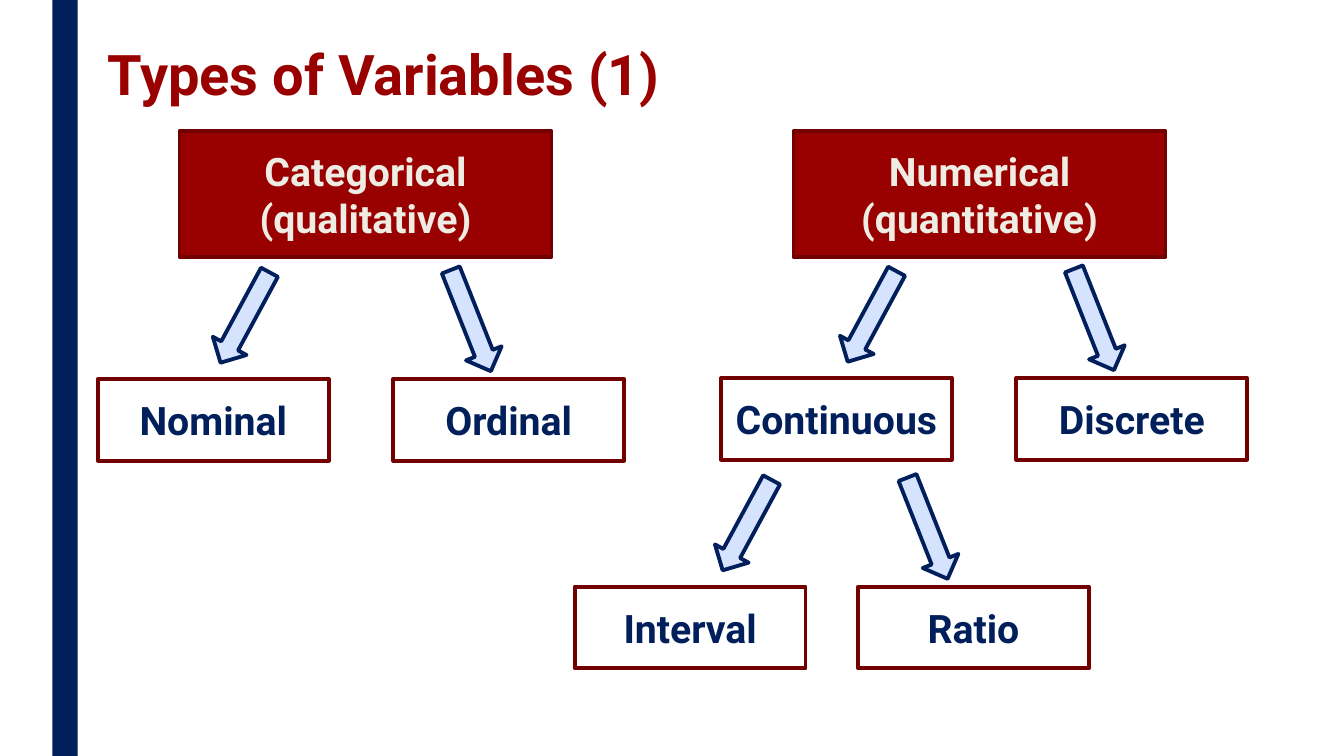
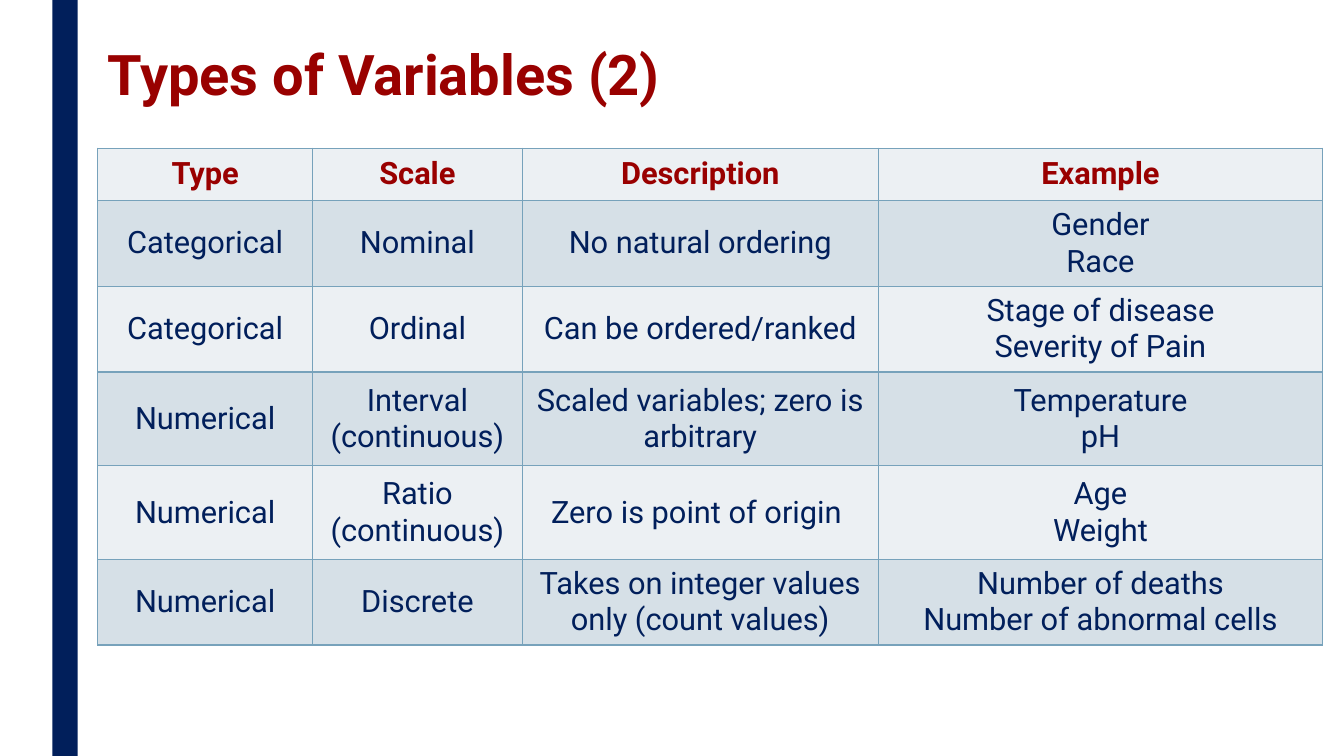
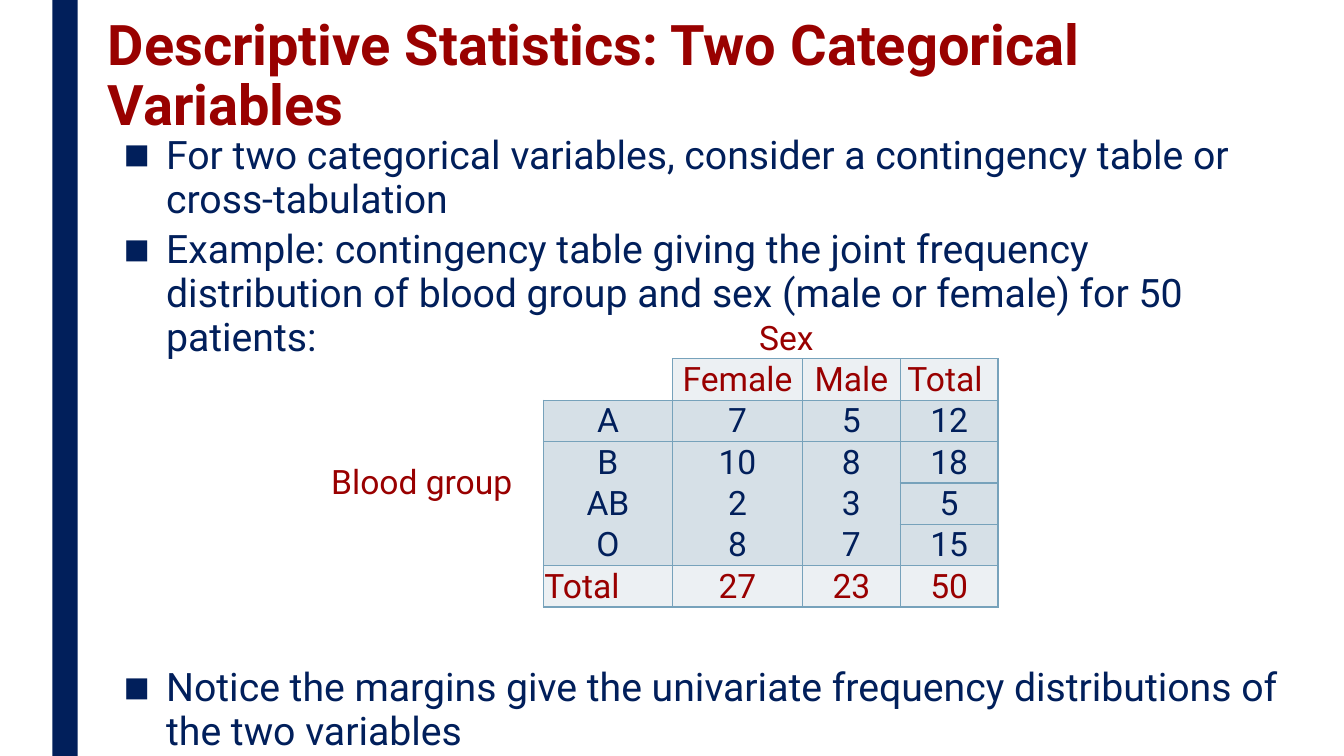
import lxml.etree
import pptx
import pptx.dml.color
import pptx.enum.shapes
import pptx.enum.text
import pptx.oxml
import pptx.oxml.ns
import pptx.util

COLORS = {
    "navy": "011F5B", "title": "990100", "red": "990000", "maroon": "710000",
    "cream": "EFEDE3", "sky": "D6E3FF", "grid": "77A2BB",
    "light": "ECF0F3", "shade": "D6E0E7",
}
FONT = "Roboto"
NO_GRID_STYLE = "{2D5ABB26-0587-4C30-8999-92F81FD0307C}"
ALIGN = {"left": pptx.enum.text.PP_ALIGN.LEFT, "center": pptx.enum.text.PP_ALIGN.CENTER}
ANCHOR = {"top": pptx.enum.text.MSO_ANCHOR.TOP, "middle": pptx.enum.text.MSO_ANCHOR.MIDDLE}
RECT = pptx.enum.shapes.MSO_SHAPE.RECTANGLE
ARROW = pptx.enum.shapes.MSO_SHAPE.DOWN_ARROW

ROOT_SIZE = (3.69, 1.25)
LEAF_SIZE = (2.29, 0.81)
ARROW_RISE = 1.12
ROOTS = [("Categorical\n(qualitative)", 1.78), ("Numerical\n(quantitative)", 7.87)]
BRANCHES = [
    {"top": 3.76, "leaves": [("Nominal", 0.97), ("Ordinal", 3.9)], "arrows": (2.24, 4.48)},
    {"top": 3.75, "leaves": [("Continuous", 7.15), ("Discrete", 10.08)], "arrows": (8.46, 10.66)},
    {"top": 5.82, "leaves": [("Interval", 5.7), ("Ratio", 8.51)], "arrows": (7.22, 9.01)},
]
ARROW_FORMS = [(1.02, 28.4), (1.08, 338.4)]

SCALES = [
    ("Type", "Scale", "Description", "Example"),
    ("Categorical", "Nominal", "No natural ordering", "Gender\nRace"),
    ("Categorical", "Ordinal", "Can be ordered/ranked", "Stage of disease\nSeverity of Pain"),
    ("Numerical", "Interval\n(continuous)", "Scaled variables; zero is arbitrary", "Temperature\npH"),
    ("Numerical", "Ratio\n(continuous)", "Zero is point of origin ", "Age\nWeight"),
    ("Numerical", "Discrete", "Takes on integer values only (count values)",
     "Number of deaths\nNumber of abnormal cells"),
]
SCALE_COLUMNS = [2.13, 2.08, 3.53, 4.41]
SCALE_ROWS = [0.52, 0.85, 0.85, 0.93, 0.93, 0.85]

FINDINGS = [
    (1.28, 2.3, "For two categorical variables, consider a contingency table or cross-tabulation\n"
     "Example: contingency table giving the joint frequency distribution of blood group "
     "and sex (male or female) for 50 patients:"),
    (6.56, 0.94, "Notice the margins give the univariate frequency distributions of the two variables"),
]
BLOOD_GROUPS = [
    ("", "", "Sex", "", ""),
    ("", "", "Female", "Male", "Total "),
    ("Blood group ", "A", "7", "5", "12"),
    ("", "B", "10", "8", "18"),
    ("", "AB", "2", "3", "5"),
    ("", "O", "8", "7", "15"),
    ("", "Total", "27", "23", "50"),
]
BLOOD_COLUMNS = [2.33, 1.28, 1.29, 0.97, 0.97]
BLOOD_ROWS = [0.4] * len(BLOOD_GROUPS)


def inches(*lengths):
    return [pptx.util.Inches(length) for length in lengths]


def rgb(name):
    return pptx.dml.color.RGBColor.from_string(COLORS[name])


def write(frame, text, size=28, color="navy", bold=False, align="left",
          spacing=None, gap=None, bullet=None):
    for index, line in enumerate(text.split("\n")):
        paragraph = frame.add_paragraph() if index else frame.paragraphs[0]
        paragraph.alignment = ALIGN[align]
        if spacing:
            paragraph.line_spacing = spacing
        if gap:
            paragraph.space_before = paragraph.space_after = pptx.util.Pt(gap)
        if bullet:
            properties = paragraph._p.get_or_add_pPr()
            indent = pptx.util.Inches(0.42)
            properties.set("marL", str(indent))
            properties.set("indent", str(-indent))
            for tag, key, value in (("a:buSzPct", "val", "70000"), ("a:buFont", "typeface", FONT),
                                    ("a:buChar", "char", bullet)):
                lxml.etree.SubElement(properties, pptx.oxml.ns.qn(tag)).set(key, value)
        run = paragraph.add_run()
        run.text = line
        run.font.name = FONT
        run.font.size = pptx.util.Pt(size)
        run.font.bold = bold
        run.font.color.rgb = rgb(color)


def add_text(slide, box, text, anchor="top", **style):
    frame = slide.shapes.add_textbox(*inches(*box)).text_frame
    frame.word_wrap = True
    frame.vertical_anchor = ANCHOR[anchor]
    write(frame, text, **style)


def add_block(slide, kind, box, fill=None, line=None, text="", color="navy", rotation=0):
    block = slide.shapes.add_shape(kind, *inches(*box))
    block.shadow.inherit = False
    block.rotation = rotation
    if fill:
        block.fill.solid()
        block.fill.fore_color.rgb = rgb(fill)
    else:
        block.fill.background()
    if line:
        block.line.color.rgb = rgb(line)
        block.line.width = pptx.util.Pt(2.75)
    else:
        block.line.fill.background()
    if text:
        block.text_frame.word_wrap = True
        block.text_frame.vertical_anchor = ANCHOR["middle"]
        write(block.text_frame, text, color=color, bold=True, align="center")


def add_grid(slide, left, top, columns, rows):
    box = inches(left, top, sum(columns), sum(rows))
    frame = slide.shapes.add_table(len(rows), len(columns), *box)
    grid = frame.table
    grid.first_row = grid.horz_banding = False
    grid._tbl.tblPr.find(pptx.oxml.ns.qn("a:tableStyleId")).text = NO_GRID_STYLE
    for column, width in zip(grid.columns, inches(*columns)):
        column.width = width
    for row, height in zip(grid.rows, inches(*rows)):
        row.height = height
    return grid


def dress_cell(cell, text, fill=None, sides="", margin=None, **style):
    properties = cell._tc.get_or_add_tcPr()
    for side in sides:
        properties.append(pptx.oxml.parse_xml(
            f'<a:ln{side} {pptx.oxml.ns.nsdecls("a")} w="12700"><a:solidFill>'
            f'<a:srgbClr val="{COLORS["grid"]}"/></a:solidFill></a:ln{side}>'))
    if fill:
        cell.fill.solid()
        cell.fill.fore_color.rgb = rgb(fill)
    else:
        cell.fill.background()
    if margin is not None:
        cell.margin_left = cell.margin_right = cell.margin_top = pptx.util.Inches(margin)
        cell.margin_bottom = 0
    cell.vertical_anchor = ANCHOR["middle"]
    if text:
        write(cell.text_frame, text, **style)
    else:
        cell.text_frame.paragraphs[0].font.size = pptx.util.Pt(18)


def start_slide(deck, title):
    slide = deck.slides.add_slide(deck.slide_layouts[6])
    add_block(slide, RECT, (0.52, 0, 0.25, 7.5), fill="navy")
    add_text(slide, (0.97, 0.26, 11.97, 1.02), title, anchor="middle",
             size=40, color="title", bold=True, spacing=0.89)
    return slide


def build_tree(deck):
    slide = start_slide(deck, "Types of Variables (1)")
    for name, left in ROOTS:
        add_block(slide, RECT, (left, 1.3, *ROOT_SIZE), fill="red", line="maroon",
                  text=name, color="cream")
    for branch in BRANCHES:
        top = branch["top"]
        for name, left in branch["leaves"]:
            add_block(slide, RECT, (left, top, *LEAF_SIZE), line="maroon", text=name)
        for left, (length, angle) in zip(branch["arrows"], ARROW_FORMS):
            add_block(slide, ARROW, (left, top - ARROW_RISE, 0.38, length),
                      fill="sky", line="navy", rotation=angle)


def build_scales(deck):
    slide = start_slide(deck, "Types of Variables (2)")
    grid = add_grid(slide, 0.97, 1.47, SCALE_COLUMNS, SCALE_ROWS)
    for r, row in enumerate(SCALES):
        for c, text in enumerate(row):
            dress_cell(grid.cell(r, c), text, fill="shade" if r % 2 else "light", sides="LRTB",
                       size=22, color="navy" if r else "red", bold=r == 0, align="center")


def build_contingency(deck):
    slide = start_slide(deck, "Descriptive Statistics: Two Categorical Variables")
    for top, height, text in FINDINGS:
        add_text(slide, (1.13, top, 11.66, height), text, spacing=0.94, gap=2, bullet="■")
    grid = add_grid(slide, 3.06, 3.15, BLOOD_COLUMNS, BLOOD_ROWS)
    grid.cell(0, 2).merge(grid.cell(0, 3))
    grid.cell(2, 0).merge(grid.cell(5, 0))
    last = len(BLOOD_GROUPS) - 1
    for r, row in enumerate(BLOOD_GROUPS):
        for c, text in enumerate(row):
            counted = 2 <= r < last and c > 0
            framed = counted or (r > 0 and c > 0 and text)
            sides = ""
            if framed:
                sides = "LR"
                if not counted or c == 4 or r == 2:
                    sides += "T"
                if not counted or c == 4 or r == last - 1:
                    sides += "B"
            fill = "shade" if counted else "light" if framed else None
            dress_cell(grid.cell(r, c), text, fill=fill, sides=sides, margin=0.01, size=24,
                       color="navy" if counted else "red",
                       align="left" if (r, c) == (last, 1) else "center")


def main():
    deck = pptx.Presentation()
    deck.slide_width, deck.slide_height = inches(13.33, 7.5)
    build_tree(deck)
    build_scales(deck)
    build_contingency(deck)
    deck.save("out.pptx")


if __name__ == "__main__":
    main()
